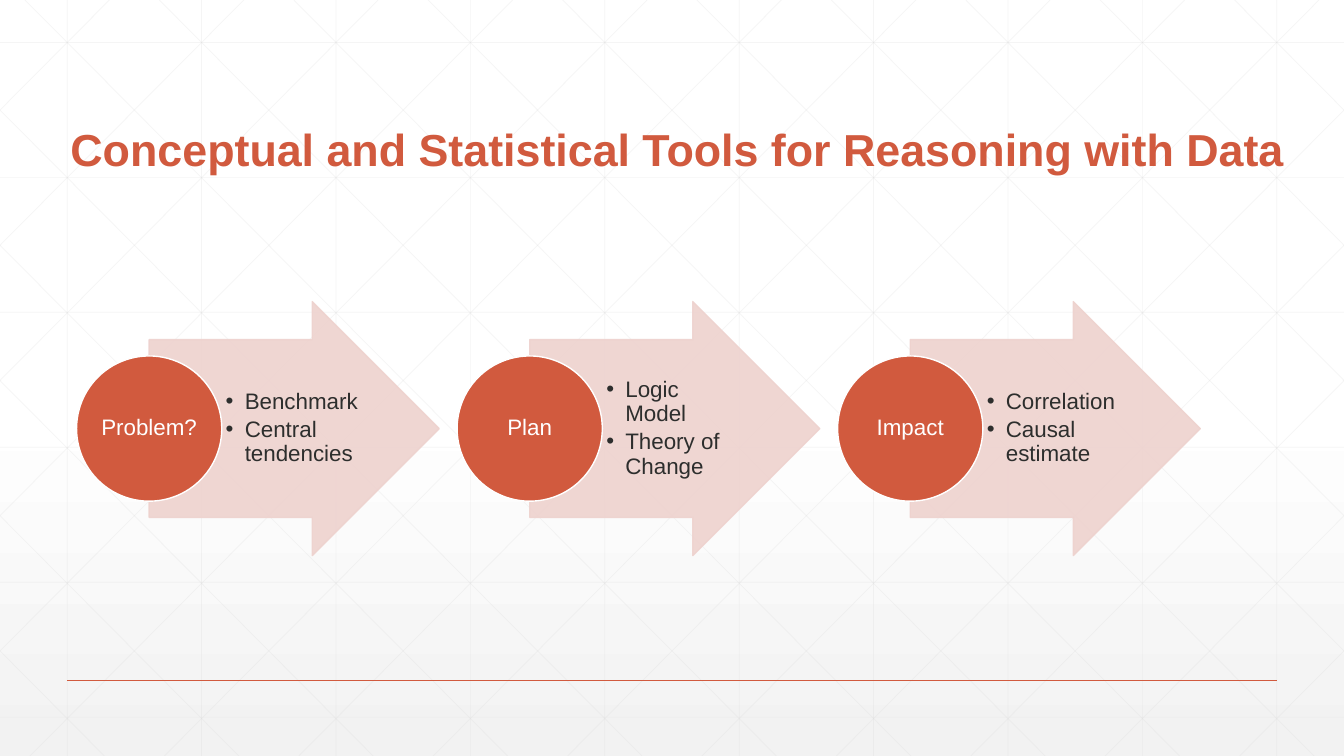
from lxml import etree
from pptx import Presentation
from pptx import util as u
from pptx.dml.color import RGBColor
from pptx.enum import shapes, text
from pptx.oxml.ns import qn

COLORS = {"accent": "D15A3E", "arrow": "EED2CE", "ink": "2D2E2D",
          "white": "FFFFFF", "shade": "F2F2F2", "grid": "D9D9D9"}
FONT = "Arial"
WIDTH, HEIGHT = 33.87, 19.05
STEPS = [("Problem?", ["Benchmark", "Central tendencies"]),
         ("Plan", ["Logic Model", "Theory of Change"]),
         ("Impact", ["Correlation", "Causal estimate"])]


def cm(*lengths):
    return [u.Cm(length) for length in lengths]


def paint(color_format, name, alpha=100):
    """Set a named colour, with its opacity in percent, on a solid fill."""
    color_format.rgb = RGBColor.from_string(COLORS[name])


def set_solid(fill, name, opacity=100):
    fill.solid()
    fill.fore_color.rgb = RGBColor.from_string(COLORS[name])


def set_opacity(sp, percent):
    """Make every colour of the shape's own fill and line translucent."""
    for color in sp.element.spPr.iter(qn("a:srgbClr")):
        etree.SubElement(color, qn("a:alpha"), val=str(percent * 1000))


def set_outline(sp, name, width):
    set_solid(sp.line.fill, name)
    sp.line.width = u.Pt(width)


def add_run(p, words, size, name, bold=False):
    p.line_spacing = 0.9
    r = p.add_run()
    r.text = words
    r.font.name, r.font.size, r.font.bold = FONT, u.Pt(size), bold
    r.font.color.rgb = RGBColor.from_string(COLORS[name])


def set_frame(tf, left, top, right, bottom):
    tf.word_wrap = True
    tf.vertical_anchor = text.MSO_ANCHOR.MIDDLE
    tf.margin_left, tf.margin_top, tf.margin_right, tf.margin_bottom = cm(
        left, top, right, bottom)


def add_line(parent, ends, name, width):
    line = parent.add_connector(shapes.MSO_CONNECTOR.STRAIGHT, *cm(*ends))
    set_outline(line, name, width)
    etree.SubElement(line.element.spPr, qn("a:effectLst"))
    return line


def add_background(slide):
    fill = slide.background.fill
    fill.gradient()
    fill.gradient_angle = 270
    stops = slide.element.find(".//" + qn("a:gsLst"))
    for stop in list(stops):
        stops.remove(stop)
    for position, name, opacity in [(0, "white", 100), (53, "white", 100),
                                    (100, "shade", 65)]:
        stop = etree.SubElement(stops, qn("a:gs"), pos=str(position * 1000))
        color = etree.SubElement(stop, qn("a:srgbClr"), val=COLORS[name])
        if opacity < 100:
            etree.SubElement(color, qn("a:alpha"), val=str(opacity * 1000))


def add_grid(slide, width, height):
    """Draw the faint lattice: columns, rows and two mirrored sets of diagonals."""
    pitch = width / 10
    slope = 1.006
    lines = [((i + 0.5) * pitch, 0, (i + 0.5) * pitch, height) for i in range(10)]
    lines += [(0, 1.07 + 3.4 * i, width, 1.07 + 3.4 * i) for i in range(6)]
    for i in range(-5, 10):
        start = 0.63 + i * pitch
        x1, x2 = max(start, 0), min(start + height / slope, width)
        y1, y2 = (x1 - start) * slope, (x2 - start) * slope
        lines += [(x1, y1, x2, y2), (width - x1, y1, width - x2, y2)]
    group = slide.shapes.add_group_shape()
    for ends in lines:
        set_opacity(add_line(group.shapes, ends, "grid", 0.5), 25)


def add_title(slide, words, left, top, width, height):
    title = slide.shapes.title
    title.left, title.top, title.width, title.height = cm(left, top, width, height)
    slide.shapes.element.append(title.element)  # in front of the lattice
    tf = title.text_frame
    tf.word_wrap = True
    tf.auto_size = text.MSO_AUTO_SIZE.NONE
    tf.vertical_anchor = text.MSO_ANCHOR.BOTTOM
    p = tf.paragraphs[0]
    p.alignment = text.PP_ALIGN.LEFT
    add_run(p, words, 32, "accent", bold=True)


def add_bullet(p, words):
    pPr = p._p.get_or_add_pPr()
    pPr.set("marL", str(u.Cm(0.48)))
    pPr.set("indent", str(-u.Cm(0.48)))
    p.space_after = u.Pt(2.8)
    add_run(p, words, 16, "ink")
    etree.SubElement(pPr, qn("a:buFont"), typeface=FONT)
    etree.SubElement(pPr, qn("a:buChar"), char="•")


def add_step(slide, label, tools, left, top, width, height):
    """Draw an arrow holding a bulleted list, with a labelled circle on its tail."""
    size = 3.66
    arrow = slide.shapes.add_shape(
        shapes.MSO_SHAPE.RIGHT_ARROW,
        *cm(left + size / 2, top, width - size / 2, height))
    arrow.adjustments[0], arrow.adjustments[1] = 0.7, 0.5
    arrow.shadow.inherit = False
    set_solid(arrow.fill, "arrow")
    set_outline(arrow, "arrow", 1)
    set_opacity(arrow, 90)

    box = slide.shapes.add_textbox(
        *cm(left + size, top + 0.15 * height, 3.56, 0.7 * height))
    tf = box.text_frame
    set_frame(tf, 0.1, 0.03, 0.05, 0.03)
    for i, tool in enumerate(tools):
        add_bullet(tf.add_paragraph() if i else tf.paragraphs[0], tool)

    circle = slide.shapes.add_shape(
        shapes.MSO_SHAPE.OVAL, *cm(left, top + (height - size) / 2, size, size))
    circle.shadow.inherit = False
    set_solid(circle.fill, "accent")
    set_outline(circle, "white", 1)
    set_frame(circle.text_frame, 0.03, 0.03, 0.03, 0.03)
    p = circle.text_frame.paragraphs[0]
    p.alignment = text.PP_ALIGN.CENTER
    add_run(p, label, 16, "white")


def add_steps(slide, left, top, pitch, width, height):
    for i, (label, tools) in enumerate(STEPS):
        add_step(slide, label, tools, left + i * pitch, top, width, height)


def main():
    prs = Presentation()
    prs.slide_width, prs.slide_height = cm(WIDTH, HEIGHT)
    slide = prs.slides.add_slide(prs.slide_layouts[5])
    add_background(slide)
    add_grid(slide, WIDTH, HEIGHT)
    margin = WIDTH / 20
    add_line(slide.shapes, (margin, 17.15, WIDTH - margin, 17.15), "accent", 1)
    add_title(slide, "Conceptual and Statistical Tools for Reasoning with Data",
              1.52, 1.4, 31.27, 3.18)
    add_steps(slide, 1.93, 7.6, 9.59, 9.14, 6.4)
    prs.save("out.pptx")


if __name__ == "__main__":
    main()
